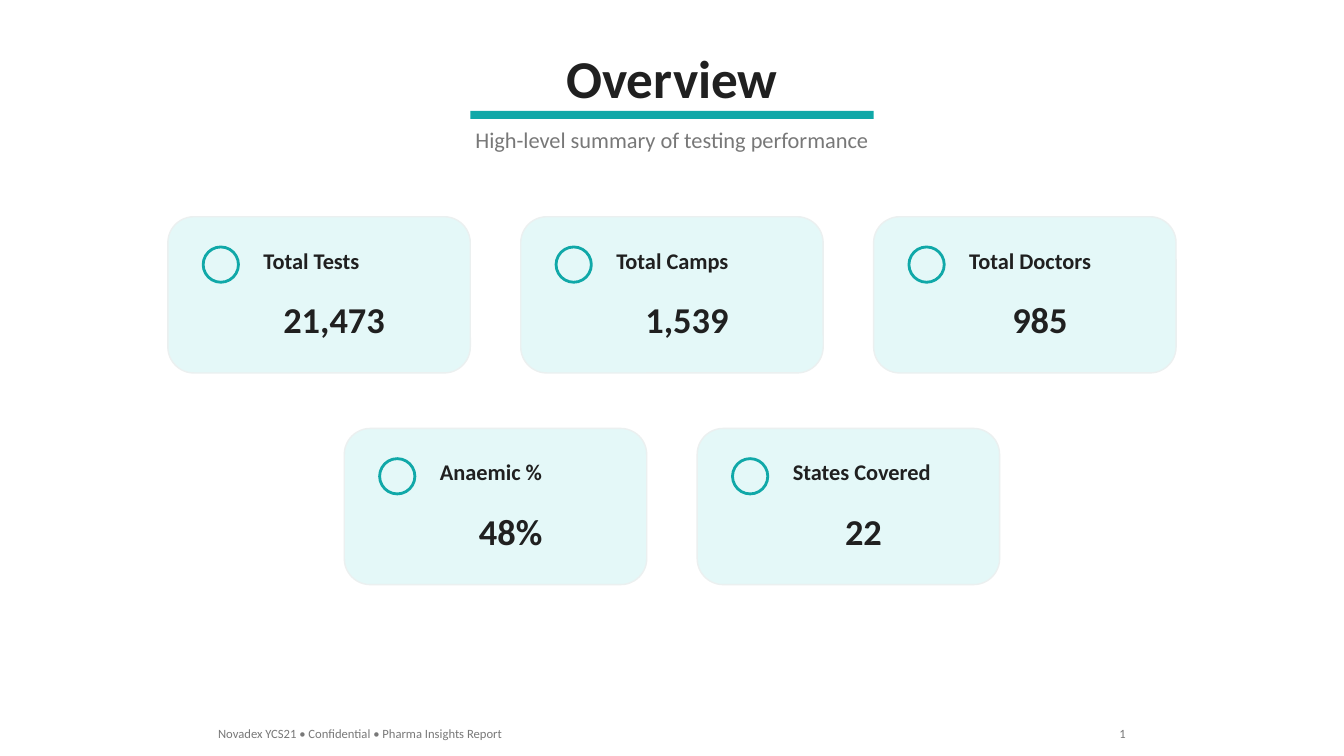
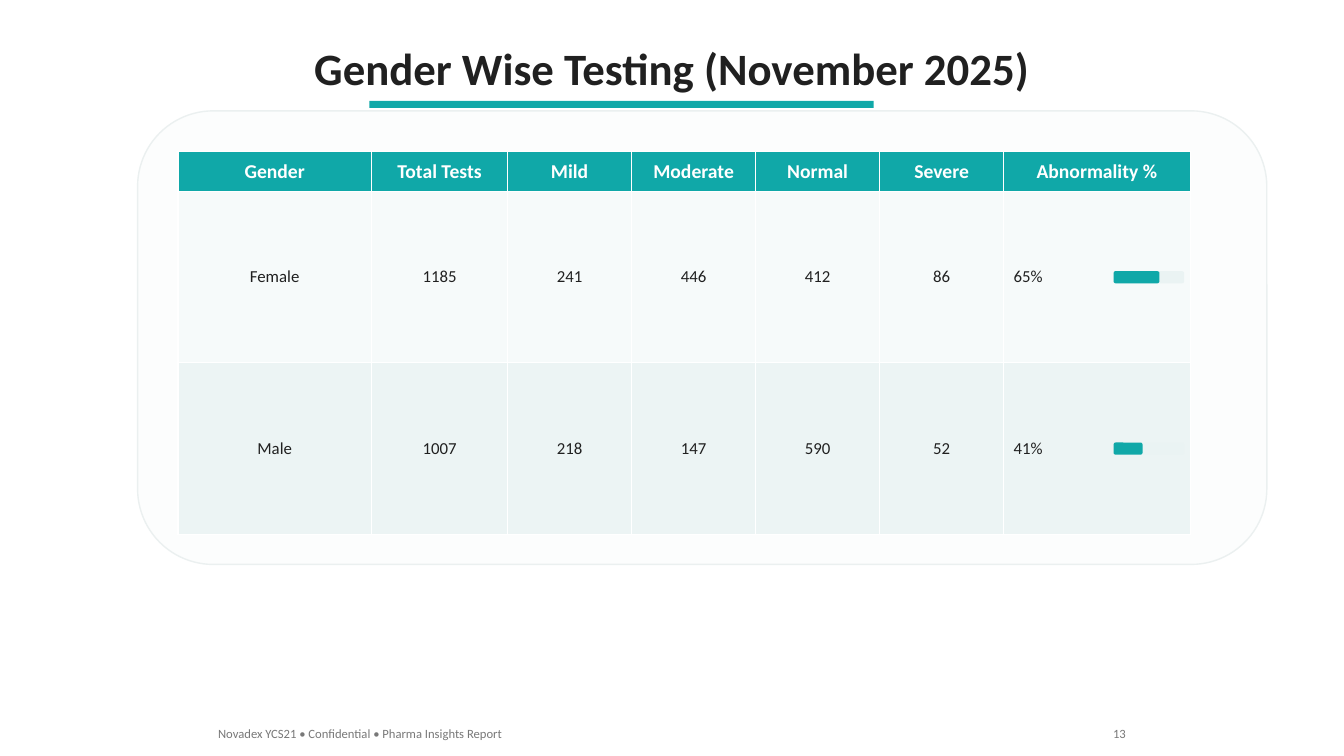
"""Build the overview and gender testing slides of the pharma insights report."""
from dataclasses import dataclass

from pptx import Presentation
from pptx import util as u
from pptx.dml.color import RGBColor
from pptx.enum import shapes, text


@dataclass(frozen=True)
class Theme:
    font: str = "Calibri"
    ink: str = "202020"
    muted: str = "787878"
    accent: str = "10A8A8"
    white: str = "FFFFFF"
    card: str = "E4F8F8"
    panel: str = "FCFDFD"
    outline: str = "EBF0F0"
    track: str = "EAF3F3"
    stripes: tuple = ("F6FAFA", "ECF4F4")
    title: int = 38
    long_title: int = 32
    value: int = 26
    label: int = 16
    header: int = 14
    body: int = 12
    footer: int = 9


WIDTH, HEIGHT = 13.33, 7.5
UNIT = 0.5
COLUMNS = 20
MARGIN = (WIDTH - COLUMNS * UNIT) / 2
LEFT, CENTER, RIGHT = text.PP_ALIGN.LEFT, text.PP_ALIGN.CENTER, text.PP_ALIGN.RIGHT
RECTANGLE = shapes.MSO_SHAPE.RECTANGLE
ROUNDED = shapes.MSO_SHAPE.ROUNDED_RECTANGLE
OVAL = shapes.MSO_SHAPE.OVAL

FOOTER = "Novadex YCS21 • Confidential • Pharma Insights Report"
CARD_WIDTH, CARD_HEIGHT = 6, 3.1
CARD_STEP, CARD_ROW_STEP = 7, 4.2
METRIC_ROWS = [
    [("Total Tests", "21,473"), ("Total Camps", "1,539"), ("Total Doctors", "985")],
    [("Anaemic %", "48%"), ("States Covered", "22")],
]
GENDER_HEADINGS = ["Gender", "Total Tests", "Mild", "Moderate", "Normal", "Severe", "Abnormality %"]
GENDER_COUNTS = [
    ("Female", 1185, 241, 446, 412, 86, 65),
    ("Male", 1007, 218, 147, 590, 52, 41),
]
GENDER_WIDTHS = [3.84, 2.7, 2.46, 2.46, 2.46, 2.46, 3.7]
HEADING_HEIGHT, GENDER_HEIGHT = 0.8, 3.4


class Deck:
    """Hold the style and the current slide, and draw on a grid of half-inch cells."""

    def __init__(self, theme):
        self.theme = theme
        self.show = Presentation()
        self.show.slide_width = u.Inches(WIDTH)
        self.show.slide_height = u.Inches(HEIGHT)
        self.slide = None

    def place(self, column, row, columns, rows):
        lengths = (MARGIN + column * UNIT, row * UNIT, columns * UNIT, rows * UNIT)
        return [u.Inches(length) for length in lengths]

    def style(self, paragraph, size, color, bold, align):
        paragraph.alignment = align
        for run in paragraph.runs:
            run.font.name = self.theme.font
            run.font.size = u.Pt(size)
            run.font.bold = bold
            run.font.color.rgb = RGBColor.from_string(color)

    def label(self, words, column, row, columns, rows, size, color, bold=False, align=LEFT):
        box = self.slide.shapes.add_textbox(*self.place(column, row, columns, rows))
        box.text_frame.word_wrap = True
        box.text_frame.text = words
        self.style(box.text_frame.paragraphs[0], size, color, bold, align)

    def shape(self, kind, column, row, columns, rows, fill=None, line=None, weight=1):
        shape = self.slide.shapes.add_shape(kind, *self.place(column, row, columns, rows))
        shape.shadow.inherit = False
        if fill:
            shape.fill.solid()
            shape.fill.fore_color.rgb = RGBColor.from_string(fill)
        else:
            shape.fill.background()
        if line:
            shape.line.color.rgb = RGBColor.from_string(line)
            shape.line.width = u.Pt(weight)
        else:
            shape.line.fill.background()

    def start(self, title, row, size, rule, number):
        theme = self.theme
        rule_column, rule_row, rule_columns, rule_rows = rule
        self.slide = self.show.slides.add_slide(self.show.slide_layouts[6])
        self.label(title, 0, row, COLUMNS, 1.4, size, theme.ink, True, CENTER)
        self.shape(RECTANGLE, rule_column, rule_row, rule_columns, rule_rows, theme.accent)
        self.label(FOOTER, 0.8, 14.3, 10, 0.5, theme.footer, theme.muted)
        self.label(str(number), 17.2, 14.3, 2, 0.5, theme.footer, theme.muted, align=RIGHT)

    def subtitle(self, words):
        self.label(words, 0, 2.4, COLUMNS, 0.74, self.theme.label, self.theme.muted, align=CENTER)

    def card(self, metric, value, column, row):
        theme = self.theme
        self.shape(ROUNDED, column, row, CARD_WIDTH, CARD_HEIGHT, theme.card, theme.outline)
        self.shape(OVAL, column + 0.7, row + 0.6, 0.7, 0.7, line=theme.accent, weight=2)
        self.label(metric, column + 1.7, row + 0.5, 4.2, 0.74, theme.label, theme.ink, True)
        self.label(value, column + 0.8, row + 1.5, 5, 1.08, theme.value, theme.ink, True, CENTER)

    def cell(self, cell, words, fill, size, color, bold=False, align=CENTER):
        cell.text_frame.text = words
        cell.vertical_anchor = text.MSO_ANCHOR.MIDDLE
        cell.fill.solid()
        cell.fill.fore_color.rgb = RGBColor.from_string(fill)
        self.style(cell.text_frame.paragraphs[0], size, color, bold, align)

    def gender_table(self, column, row):
        theme = self.theme
        heights = [HEADING_HEIGHT] + [GENDER_HEIGHT] * len(GENDER_COUNTS)
        frame = self.slide.shapes.add_table(
            len(heights), len(GENDER_WIDTHS),
            *self.place(column, row, sum(GENDER_WIDTHS), sum(heights)))
        table = frame.table
        for part, width in zip(table.columns, GENDER_WIDTHS):
            part.width = u.Inches(width * UNIT)
        for part, height in zip(table.rows, heights):
            part.height = u.Inches(height * UNIT)
        for index, heading in enumerate(GENDER_HEADINGS):
            self.cell(table.cell(0, index), heading, theme.accent, theme.header, theme.white, True)
        for line, (*counts, abnormal) in enumerate(GENDER_COUNTS):
            fill = theme.stripes[line % 2]
            for index, count in enumerate(counts):
                self.cell(table.cell(line + 1, index), str(count), fill, theme.body, theme.ink)
            self.cell(table.cell(line + 1, len(counts)), f"{abnormal}%", fill,
                      theme.body, theme.ink, align=LEFT)
            middle = row + HEADING_HEIGHT + GENDER_HEIGHT * (line + 0.5)
            self.progress(abnormal / 100, 18.76, middle)

    def progress(self, share, column, middle, columns=1.4, rows=0.24):
        top = middle - rows / 2
        self.shape(ROUNDED, column, top, columns, rows, self.theme.track)
        self.shape(ROUNDED, column, top, columns * share, rows, self.theme.accent)


def overview(deck):
    deck.start("Overview", 0.8, deck.theme.title, (6, 2.2, 8, 0.16), 1)
    deck.subtitle("High-level summary of testing performance")
    for line, metrics in enumerate(METRIC_ROWS):
        span = CARD_STEP * (len(metrics) - 1) + CARD_WIDTH
        first = (COLUMNS - span) / 2
        for index, (metric, value) in enumerate(metrics):
            deck.card(metric, value, first + index * CARD_STEP, 4.3 + line * CARD_ROW_STEP)


def gender_testing(deck):
    theme = deck.theme
    deck.start("Gender Wise Testing (November 2025)", 0.7, theme.long_title, (4, 2, 10, 0.14), 13)
    deck.shape(ROUNDED, -0.6, 2.2, 22.4, 9, theme.panel, theme.outline)
    deck.gender_table(0.2, 3)


def main():
    deck = Deck(Theme())
    overview(deck)
    gender_testing(deck)
    deck.show.save("out.pptx")


if __name__ == "__main__":
    main()
